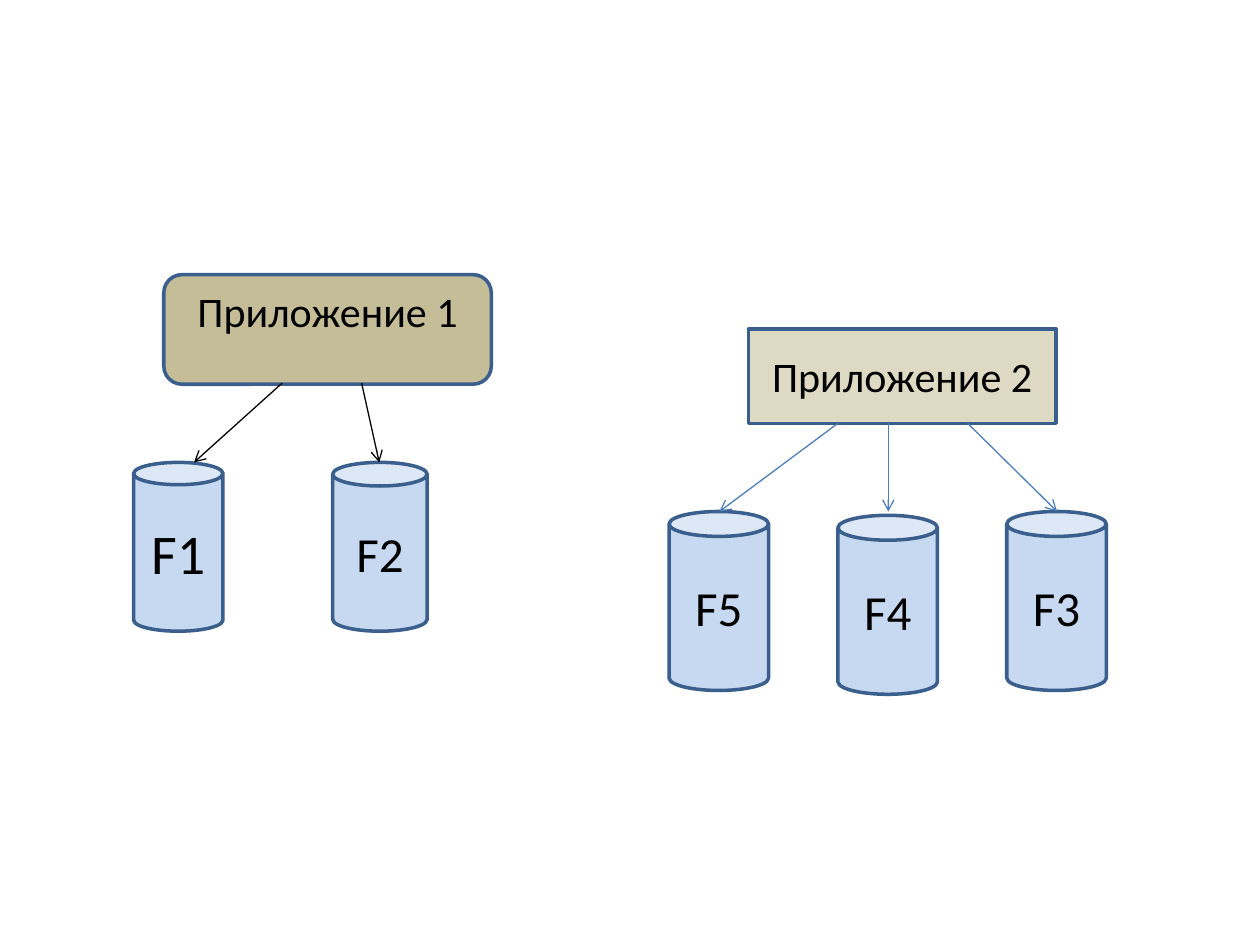
import pptx
import pptx.dml.color
import pptx.enum.shapes
import pptx.enum.text
import pptx.oxml
import pptx.oxml.ns
import pptx.util

COLUMNS, ROWS = 100, 75
BORDER, BLACK, BLUE = "3A5F8C", "000000", "4B7EBC"
SHAPES = pptx.enum.shapes.MSO_SHAPE


def color(hex_string):
    return pptx.dml.color.RGBColor.from_string(hex_string)


def write_text(shape, text, font_size=24, font="Calibri", hex_color=BLACK, bottom=0.05):
    frame = shape.text_frame
    frame.word_wrap = True
    frame.margin_bottom = pptx.util.Inches(bottom)
    frame.vertical_anchor = pptx.enum.text.MSO_ANCHOR.MIDDLE
    paragraph = frame.paragraphs[0]
    paragraph.alignment = pptx.enum.text.PP_ALIGN.CENTER
    run = paragraph.add_run()
    run.text = text
    run.font.size = pptx.util.Pt(font_size)
    run.font.name = font
    run.font.color.rgb = color(hex_color)


class Diagram:
    """Draws applications and their files on a 100 by 75 grid."""

    def __init__(self, presentation):
        self.slide = presentation.slides.add_slide(presentation.slide_layouts[6])
        self.column = presentation.slide_width / COLUMNS
        self.row = presentation.slide_height / ROWS

    def place(self, column, row):
        return round(column * self.column), round(row * self.row)

    def box(self, kind, position, size, fill, text, **text_format):
        shape = self.slide.shapes.add_shape(kind, *self.place(*position), *self.place(*size))
        shape.shadow.inherit = False
        shape.fill.solid()
        shape.fill.fore_color.rgb = color(fill)
        shape.line.color.rgb = color(BORDER)
        shape.line.width = pptx.util.Pt(2)
        write_text(shape, text, **text_format)

    def file(self, name, position, size, font_size=28):
        self.box(SHAPES.CAN, position, size, "C6D9F1", name, font_size=font_size)

    def arrow(self, start, end, hex_color):
        connector = self.slide.shapes.add_connector(
            pptx.enum.shapes.MSO_CONNECTOR.STRAIGHT, *self.place(*start), *self.place(*end))
        connector.line.color.rgb = color(hex_color)
        connector.line.width = pptx.util.Pt(0.75)
        namespace = pptx.oxml.ns.nsdecls("a")
        outline = connector._element.spPr.find(pptx.oxml.ns.qn("a:ln"))
        outline.append(pptx.oxml.parse_xml(f'<a:tailEnd {namespace} type="arrow"/>'))
        connector._element.spPr.append(pptx.oxml.parse_xml(f"<a:effectLst {namespace}/>"))


def main():
    presentation = pptx.Presentation()
    presentation.slide_width = pptx.util.Inches(10)
    presentation.slide_height = pptx.util.Inches(7.5)
    diagram = Diagram(presentation)

    diagram.box(SHAPES.ROUNDED_RECTANGLE, (13, 21.8), (26, 8.7), "C4BD97", "Приложение 1", bottom=0.35)
    diagram.file("F1", (10.6, 36.7), (7.1, 13.4), font_size=32)
    diagram.file("F2", (26.4, 36.7), (7.5, 13.4))
    for start, end in ((22.4, 15.4), (28.7, 30.1)):
        diagram.arrow((start, 30.4), (end, 36.7), BLACK)

    diagram.box(SHAPES.RECTANGLE, (59.4, 26.1), (24.4, 7.5), "DDD9C3", "Приложение 2")
    for index, (name, row) in enumerate((("F5", 40.6), ("F4", 40.9), ("F3", 40.6))):
        diagram.file(name, (53.1 + 13.4 * index, row), (7.9, 14.2))
    for index, start in enumerate((66.5, 70.5, 76.8)):
        diagram.arrow((start, 33.6), (57.1 + 13.4 * index, 40.6), BLUE)

    presentation.save("out.pptx")


if __name__ == "__main__":
    main()
